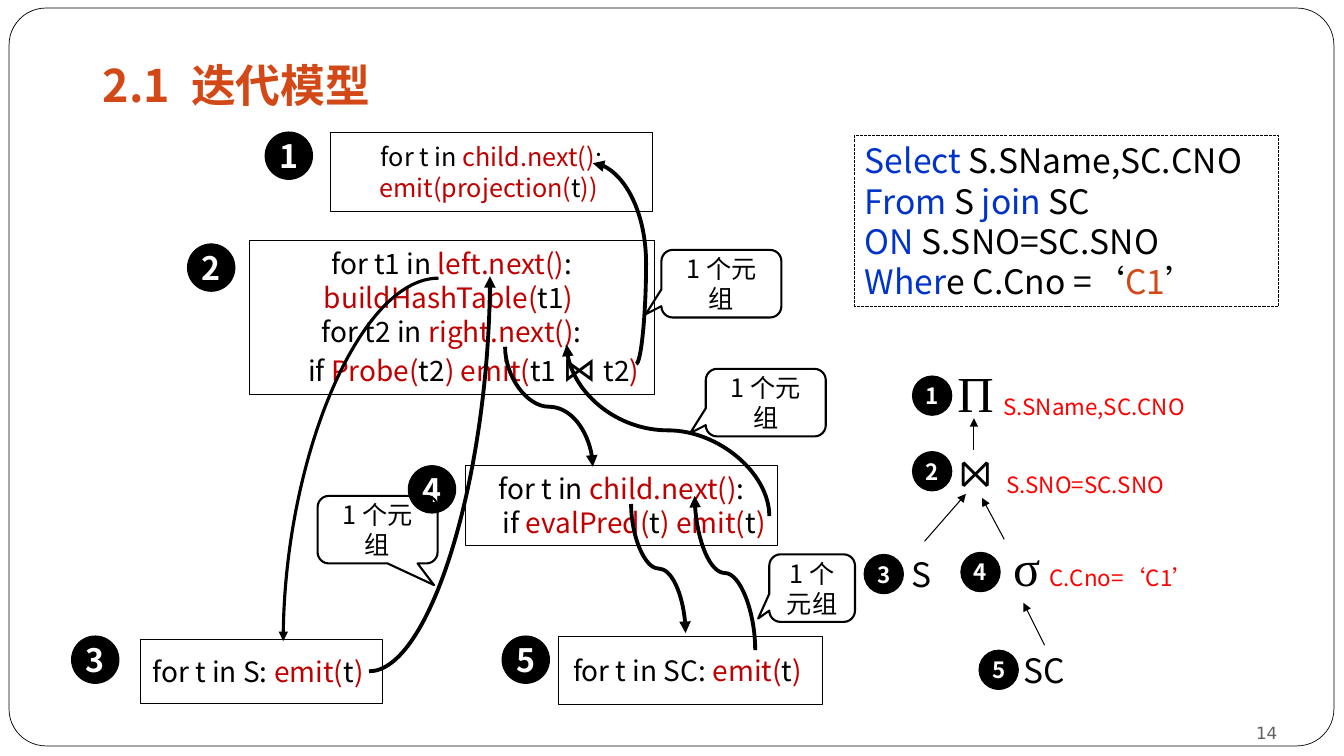
"""Build the slide on the iterator model of query execution."""
from dataclasses import dataclass
from typing import NamedTuple, Optional

from lxml.etree import SubElement
from pptx import Presentation
from pptx.dml.color import RGBColor
from pptx.enum.dml import MSO_LINE
from pptx.enum.shapes import MSO_CONNECTOR, MSO_SHAPE
from pptx.enum.text import MSO_ANCHOR, PP_ALIGN
from pptx.oxml.ns import qn
from pptx.util import Inches, Pt

CJK, SERIF, SANS = "Noto Sans CJK SC", "Times New Roman", "DejaVu Sans"
BLACK, WHITE, CODE, KEYWORD = "000000", "FFFFFF", "C00000", "0033CC"
ORANGE, RED, GREY, SLATE = "D34817", "FF0000", "646060", "464766"


class Box(NamedTuple):
    left: float
    top: float
    width: float
    height: float


class Piece(NamedTuple):
    text: str
    color: str = BLACK
    size: Optional[int] = None


@dataclass
class Line:
    pieces: list[Piece]
    indent: float = 0


@dataclass
class Style:
    size: int
    font: str = CJK
    bold: bool = False
    align: PP_ALIGN = PP_ALIGN.CENTER
    wrap: bool = False
    anchor: MSO_ANCHOR = MSO_ANCHOR.MIDDLE
    space_before: float = 0
    inset: Optional[float] = None


@dataclass
class Curve:
    begin: tuple[float, float]
    end: tuple[float, float]
    preset: str = "curvedConnector3"
    upright: bool = True
    width: float = 2.75
    bend: Optional[float] = None


def rgb(color: str) -> RGBColor:
    return RGBColor.from_string(color)


def write(shape, lines: list[Line], style: Style) -> None:
    frame = shape.text_frame
    frame.word_wrap = style.wrap
    frame.vertical_anchor = style.anchor
    if style.inset is not None:
        frame.margin_left = frame.margin_right = Inches(style.inset)
        frame.margin_top = frame.margin_bottom = Inches(style.inset)
    for number, line in enumerate(lines):
        paragraph = frame.add_paragraph() if number else frame.paragraphs[0]
        paragraph.alignment = style.align
        paragraph.space_before = Pt(style.space_before)
        if style.font == CJK:
            paragraph.line_spacing = Pt(1.2 * max(piece.size or style.size for piece in line.pieces))
        if line.indent:
            paragraph._p.get_or_add_pPr().set("marL", str(Inches(line.indent)))
        for piece in line.pieces:
            run = paragraph.add_run()
            run.text = piece.text
            run.font.name = style.font
            run.font.size = Pt(piece.size or style.size)
            run.font.bold = style.bold
            run.font.color.rgb = rgb(piece.color)
            SubElement(run._r.get_or_add_rPr(), qn("a:ea"), typeface=style.font)


def add_label(slide, box: Box, text: str, color: str, style: Style) -> None:
    shape = slide.shapes.add_textbox(*map(Inches, box))
    write(shape, [Line([Piece(text, color)])], style)


def add_outline(slide, preset: MSO_SHAPE, box: Box, fill: Optional[str] = None,
                line: Optional[str] = BLACK, width: float = 0.75):
    shape = slide.shapes.add_shape(preset, *map(Inches, box))
    paint(shape, fill, line)
    if line:
        shape.line.width = Pt(width)
    return shape


def paint(shape, fill: Optional[str], line: Optional[str]) -> None:
    shape.shadow.inherit = False
    if fill:
        shape.fill.solid()
        shape.fill.fore_color.rgb = rgb(fill)
    else:
        shape.fill.background()
    if line:
        shape.line.color.rgb = rgb(line)
    else:
        shape.line.fill.background()


def add_arrow(slide, kind: MSO_CONNECTOR, begin: tuple, end: tuple, width: float):
    connector = slide.shapes.add_connector(kind, *map(Inches, (*begin, *end)))
    connector.line.color.rgb = rgb(BLACK)
    connector.line.width = Pt(width)
    SubElement(connector.line._get_or_add_ln(), qn("a:tailEnd"), type="triangle")
    SubElement(connector._element.spPr, qn("a:effectLst"))
    return connector


def add_curve(slide, curve: Curve) -> None:
    (x1, y1), (x2, y2) = curve.begin, curve.end
    begin, end = curve.begin, curve.end
    if curve.upright:
        middle_x, middle_y = (x1 + x2) / 2, (y1 + y2) / 2
        half_x, half_y = (x2 - x1) / 2, (y2 - y1) / 2
        begin = (middle_x + half_y, middle_y - half_x)
        end = (middle_x - half_y, middle_y + half_x)
    connector = add_arrow(slide, MSO_CONNECTOR.CURVE, begin, end, curve.width)
    properties = connector._element.spPr
    if curve.upright:
        properties.find(qn("a:xfrm")).set("rot", str(270 * 60000))
    geometry = properties.find(qn("a:prstGeom"))
    geometry.set("prst", curve.preset)
    if curve.bend is not None:
        SubElement(geometry.find(qn("a:avLst")), qn("a:gd"), name="adj1",
                   fmla=f"val {round(curve.bend * 100000)}")


OPERATORS = [
    (Box(3.28, 1.31, 3.19, 0.79), 18, [
        Line([Piece("for t in "), Piece("child.next()", CODE), Piece(":")]),
        Line([Piece("emit(projection(", CODE), Piece("t"), Piece(")) ", CODE)])]),
    (Box(2.47, 2.39, 4.02, 1.52), 20, [
        Line([Piece("for t1 in "), Piece("left.next()", CODE), Piece(":")]),
        Line([Piece("buildHashTable(", CODE), Piece("t1"), Piece(") ", CODE)]),
        Line([Piece("for t2 in "), Piece("right.next()", CODE), Piece(":")]),
        Line([Piece("if "), Piece("Probe(", CODE), Piece("t2"), Piece(") emit(", CODE), Piece("t1 "),
              Piece("⋈ ", size=24), Piece("t2"), Piece(") ", CODE)], 0.5)]),
    (Box(4.62, 4.62, 3.09, 0.79), 20, [
        Line([Piece("for t in "), Piece("child.next()", CODE), Piece(":")]),
        Line([Piece("if "), Piece("evalPred(", CODE), Piece("t"), Piece(") emit(", CODE),
              Piece("t"), Piece(") ", CODE)], 0.31)])]
OPERATORS += [
    (box, 20, [Line([Piece(f"for t in {table}: "), Piece("emit(", CODE), Piece("t"), Piece(") ", CODE)])])
    for box, table in ((Box(5.54, 6.31, 2.62, 0.68), "SC"), (Box(1.39, 6.34, 2.4, 0.64), "S"))]
QUERY = [
    Line([Piece("Select ", KEYWORD), Piece("S.SName,SC.CNO")]),
    Line([Piece("From", KEYWORD), Piece(" S "), Piece("join", KEYWORD), Piece(" SC")]),
    Line([Piece("ON", KEYWORD), Piece(" S.SNO=SC.SNO")]),
    Line([Piece("Wher", KEYWORD), Piece("e C.Cno =‘"), Piece("C1", ORANGE), Piece("’")])]
BADGES = [
    (0.47, 23, [(2.63, 1.31), (1.86, 2.42), (0.71, 6.31), (4.05, 4.62), (4.98, 6.31)]),
    (0.39, 16, [(9.05, 3.73), (9.05, 4.48), (8.57, 5.5), (9.53, 5.48), (9.71, 6.45)])]
CURVES = [
    Curve((5.01, 3.44), (5.88, 4.63)), Curve((6.26, 5), (6.8, 6.28)),
    Curve((7.49, 6.45), (6.89, 4.92)), Curve((7.63, 5.12), (5.62, 3.42)),
    Curve((6.31, 3.61), (5.88, 1.62), upright=False, bend=-0.23),
    Curve((4.35, 2.76), (2.81, 6.36), "curvedConnector2", False, 2.25),
    Curve((3.66, 6.66), (4.86, 2.74), "curvedConnector2", False)]
CALLOUTS = [
    (Box(3.15, 4.92, 1.19, 0.67), (0.47, 0.82)), (Box(7.63, 5.5, 0.85, 0.67), (-0.63, 0.45)),
    (Box(7, 3.66, 1.19, 0.67), (-0.63, 0.45)), (Box(6.56, 2.48, 1.19, 0.67), (-0.63, 0.45))]
WAVY_ARROW = [
    (4.93, 1.69), (4.93, 1.76), (4.95, 1.97), (4.96, 2.02), (4.99, 2.07), (5.01, 2.12), (5.02, 2.2),
    (5.03, 2.3), (4.99, 2.3), (5.05, 2.42), (5.11, 2.29), (5.07, 2.29), (5.05, 2.12), (5.04, 2.07),
    (5.01, 2.03), (4.99, 1.96), (4.98, 1.85), (4.97, 1.76), (4.97, 1.69)]


def add_plan_tree(slide) -> None:
    add_outline(slide, MSO_SHAPE.RECTANGLE, Box(10.38, 6.21, 0.45, 0.24), WHITE, None)
    leaf = add_outline(slide, MSO_SHAPE.RECTANGLE, Box(8.89, 5.37, 0.56, 0.45), WHITE, None)
    edges = [add_arrow(slide, MSO_CONNECTOR.STRAIGHT, begin, end, 0.75) for begin, end in (
        ((9.17, 5.37), (9.58, 4.9)), ((9.96, 5.35), (9.74, 4.94)),
        ((9.66, 4.46), (9.66, 4.15)), ((10.36, 6.4), (10.15, 5.98)))]
    edges[0].begin_connect(leaf, 0)
    condition = Style(16, align=PP_ALIGN.LEFT, wrap=True, anchor=MSO_ANCHOR.TOP)
    for left, top, text in ((10.31, 5.55, "C.Cno=‘C1’"), (9.88, 4.63, "S.SNO=SC.SNO"),
                            (9.85, 3.85, "S.SName,SC.CNO")):
        add_label(slide, Box(left, top, 2.09, 0.37), text, RED, condition)
    symbol = Style(36, SERIF, wrap=True, anchor=MSO_ANCHOR.TOP, space_before=3.6)
    for left, top, width, text in ((9.95, 5.27, 0.41, "σ"), (9.38, 4.29, 0.59, "⋈"), (9.38, 3.54, 0.59, "Π")):
        add_label(slide, Box(left, top, width, 0.71), text, BLACK, symbol)
    table = Style(24, align=PP_ALIGN.LEFT, anchor=MSO_ANCHOR.TOP)
    add_label(slide, Box(8.94, 5.45, 0.4, 0.5), "S", BLACK, table)
    add_label(slide, Box(10.05, 6.4, 0.62, 0.5), "SC", BLACK, table)


def main() -> None:
    presentation = Presentation()
    presentation.slide_width, presentation.slide_height = Inches(13.33), Inches(7.5)
    slide = presentation.slides.add_slide(presentation.slide_layouts[6])
    border = add_outline(slide, MSO_SHAPE.ROUNDED_RECTANGLE, Box(0.09, 0.08, 13.14, 7.32), WHITE, width=0.5)
    border.adjustments[0] = 0.05
    add_label(slide, Box(0.92, 0.52, 6.14, 0.64), "2.1 迭代模型", ORANGE,
              Style(32, bold=True, align=PP_ALIGN.LEFT, wrap=True))
    add_label(slide, Box(11.56, 6.97, 1.11, 0.4), "14", GREY,
              Style(12, SANS, align=PP_ALIGN.RIGHT, wrap=True, anchor=MSO_ANCHOR.BOTTOM, inset=0))
    query = add_outline(slide, MSO_SHAPE.RECTANGLE, Box(8.48, 1.34, 4.2, 1.7), WHITE)
    query.line.dash_style = MSO_LINE.SQUARE_DOT
    write(query, QUERY, Style(24, align=PP_ALIGN.LEFT))
    add_plan_tree(slide)
    for box, size, lines in OPERATORS:
        write(add_outline(slide, MSO_SHAPE.RECTANGLE, box), lines, Style(size))
    builder = slide.shapes.build_freeform(*WAVY_ARROW[0], scale=Inches(1))
    builder.add_line_segments(WAVY_ARROW[1:])
    paint(builder.convert_to_shape(), SLATE, None)
    for diameter, size, corners in BADGES:
        for number, corner in enumerate(corners, 1):
            badge = add_outline(slide, MSO_SHAPE.OVAL, Box(*corner, diameter, diameter), BLACK)
            write(badge, [Line([Piece(str(number), WHITE)])], Style(size, bold=True))
    for curve in CURVES:
        add_curve(slide, curve)
    for box, tip in CALLOUTS:
        callout = add_outline(slide, MSO_SHAPE.ROUNDED_RECTANGULAR_CALLOUT, box, width=1.5)
        callout.adjustments[0], callout.adjustments[1] = tip
        write(callout, [Line([Piece("1个元组")])], Style(18, wrap=True))
    presentation.save("out.pptx")


if __name__ == "__main__":
    main()
